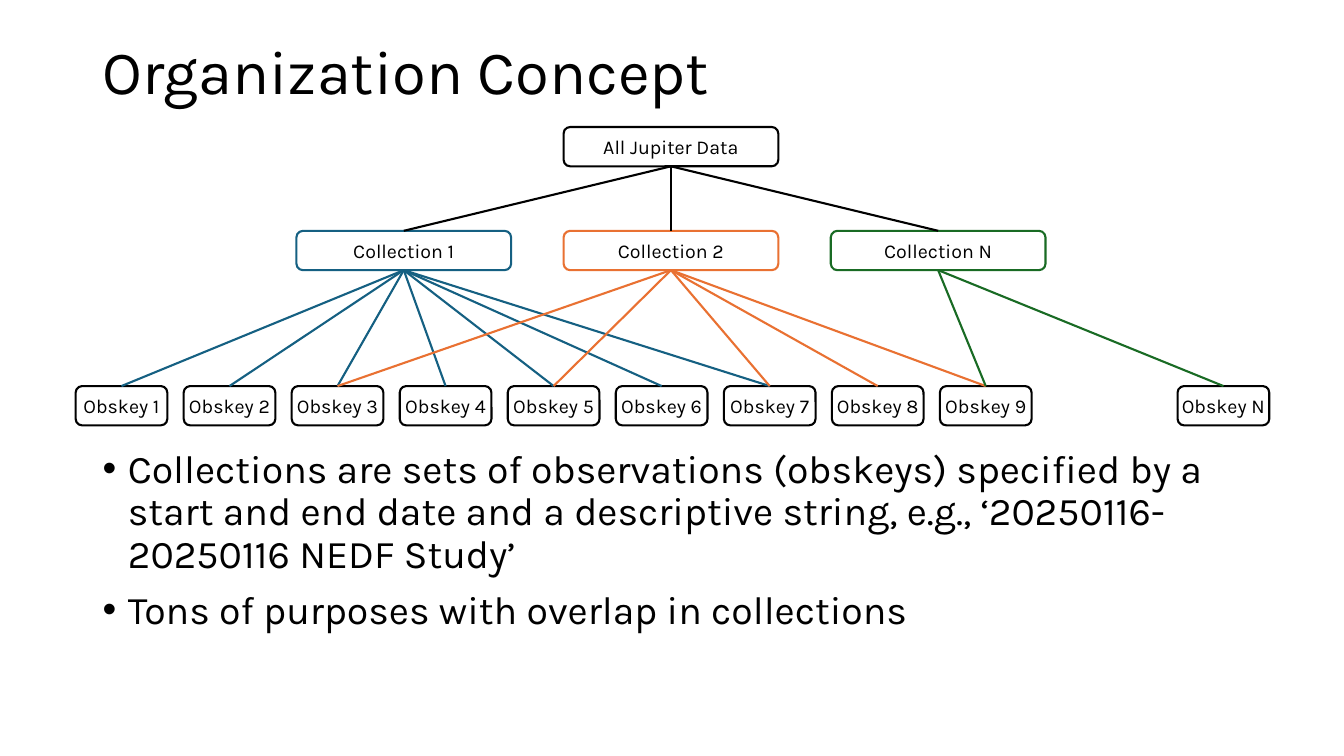
import pptx
import pptx.util
import pptx.dml.color
import pptx.enum.shapes
import pptx.enum.text
import pptx.oxml.ns
import lxml.etree

Inches = pptx.util.Inches
Pt = pptx.util.Pt
RGBColor = pptx.dml.color.RGBColor
MIDDLE = pptx.enum.text.MSO_ANCHOR.MIDDLE
TOP = pptx.enum.text.MSO_ANCHOR.TOP
CENTER = pptx.enum.text.PP_ALIGN.CENTER
LEFT = pptx.enum.text.PP_ALIGN.LEFT

BLACK = RGBColor(0x00, 0x00, 0x00)
WHITE = RGBColor(0xFF, 0xFF, 0xFF)
BLUE = RGBColor(0x15, 0x60, 0x82)
ORANGE = RGBColor(0xE9, 0x71, 0x32)
GREEN = RGBColor(0x19, 0x6B, 0x24)

deck = pptx.Presentation()
deck.slide_width = Inches(13.33)
deck.slide_height = Inches(7.5)
slide = deck.slides.add_slide(deck.slide_layouts[6])

COLLECTION_LEFT, COLLECTION_PITCH, COLLECTION_WIDTH = 2.94, 2.65, 2.13
OBSKEY_LEFT, OBSKEY_PITCH, OBSKEY_WIDTH = 0.75, 1.0715, 0.91
ROOT_ROW, COLLECTION_ROW, OBSKEY_ROW = 1.26, 2.29, 3.83
NODE_HEIGHT = 0.39
LAST_OBSKEY_COLUMN = 10.2

collections = {
    "Collection 1": (BLUE, "1234567"),
    "Collection 2": (ORANGE, "53789"),
    "Collection N": (GREEN, "N9"),
}

nodes = [("All Jupiter Data", COLLECTION_LEFT + COLLECTION_PITCH, ROOT_ROW, COLLECTION_WIDTH, BLACK)]
for column, (name, (color, _)) in enumerate(collections.items()):
    nodes.append((name, COLLECTION_LEFT + column * COLLECTION_PITCH, COLLECTION_ROW, COLLECTION_WIDTH, color))
for column, key in zip([*range(9), LAST_OBSKEY_COLUMN], "123456789N"):
    nodes.append((f"Obskey {key}", OBSKEY_LEFT + column * OBSKEY_PITCH, OBSKEY_ROW, OBSKEY_WIDTH, BLACK))

tree = {}
for name, left, top, width, color in nodes:
    node = slide.shapes.add_shape(
        pptx.enum.shapes.MSO_SHAPE.ROUNDED_RECTANGLE,
        Inches(left), Inches(top), Inches(width), Inches(NODE_HEIGHT),
    )
    node.shadow.inherit = False
    node.fill.solid()
    node.fill.fore_color.rgb = WHITE
    node.line.color.rgb = color
    node.line.width = Pt(1.5)
    frame_format = {
        "margin_left": 0, "margin_right": 0, "margin_top": 0, "margin_bottom": 0,
        "vertical_anchor": MIDDLE, "word_wrap": True,
    }
    for attribute, value in frame_format.items():
        setattr(node.text_frame, attribute, value)
    label = node.text_frame.paragraphs[0]
    label.text = name
    label.alignment = CENTER
    for attribute, value in {"name": "Karla", "size": Pt(14)}.items():
        setattr(label.font, attribute, value)
    label.font.color.rgb = BLACK
    tree[name] = node

branches = [
    (name, f"Obskey {key}", color)
    for name, (color, keys) in collections.items()
    for key in keys
]
branches += [("All Jupiter Data", name, BLACK) for name in collections]

for parent, child, color in branches:
    branch = slide.shapes.add_connector(pptx.enum.shapes.MSO_CONNECTOR.STRAIGHT, 0, 0, 0, 0)
    branch.begin_connect(tree[parent], 2)
    branch.end_connect(tree[child], 0)
    branch.line.color.rgb = color
    branch.line.width = Pt(1.5)
    lxml.etree.SubElement(branch.element.spPr, pptx.oxml.ns.qn("a:effectLst"))

heading = ["Organization Concept"]
points = [
    "Collections are sets of observations (obskeys) specified by a start and end date "
    "and a descriptive string, e.g., ‘20250116-20250116 NEDF Study’",
    "Tons of purposes with overlap in collections",
]

for lines, top, height, size, anchor, bulleted in [
    (heading, 0.4, 0.68, 44, MIDDLE, False),
    (points, 4.41, 2.93, 28, TOP, True),
]:
    passage = slide.shapes.add_textbox(Inches(0.92), Inches(top), Inches(11.5), Inches(height)).text_frame
    passage.word_wrap = True
    passage.vertical_anchor = anchor
    for index, line in enumerate(lines):
        paragraph = passage.add_paragraph() if index else passage.paragraphs[0]
        paragraph.text = line
        paragraph.alignment = LEFT
        paragraph.line_spacing = 0.9
        for attribute, value in {"name": "Karla", "size": Pt(size)}.items():
            setattr(paragraph.font, attribute, value)
        paragraph.font.color.rgb = BLACK
        if bulleted:
            paragraph.space_before = Pt(10)
            properties = paragraph._p.get_or_add_pPr()
            properties.set("marL", str(Inches(0.25)))
            properties.set("indent", str(-Inches(0.25)))
            bullet_font = lxml.etree.Element(pptx.oxml.ns.qn("a:buFont"), typeface="Arial")
            bullet = lxml.etree.Element(pptx.oxml.ns.qn("a:buChar"), char="•")
            run_defaults = properties.find(pptx.oxml.ns.qn("a:defRPr"))
            run_defaults.addprevious(bullet_font)
            run_defaults.addprevious(bullet)
        for run in paragraph.runs:
            for attribute, value in {"name": "Karla", "size": Pt(size)}.items():
                setattr(run.font, attribute, value)
            run.font.color.rgb = BLACK

for node in tree.values():
    for run in node.text_frame.paragraphs[0].runs:
        for attribute, value in {"name": "Karla", "size": Pt(14)}.items():
            setattr(run.font, attribute, value)
        run.font.color.rgb = BLACK

deck.save("out.pptx")
